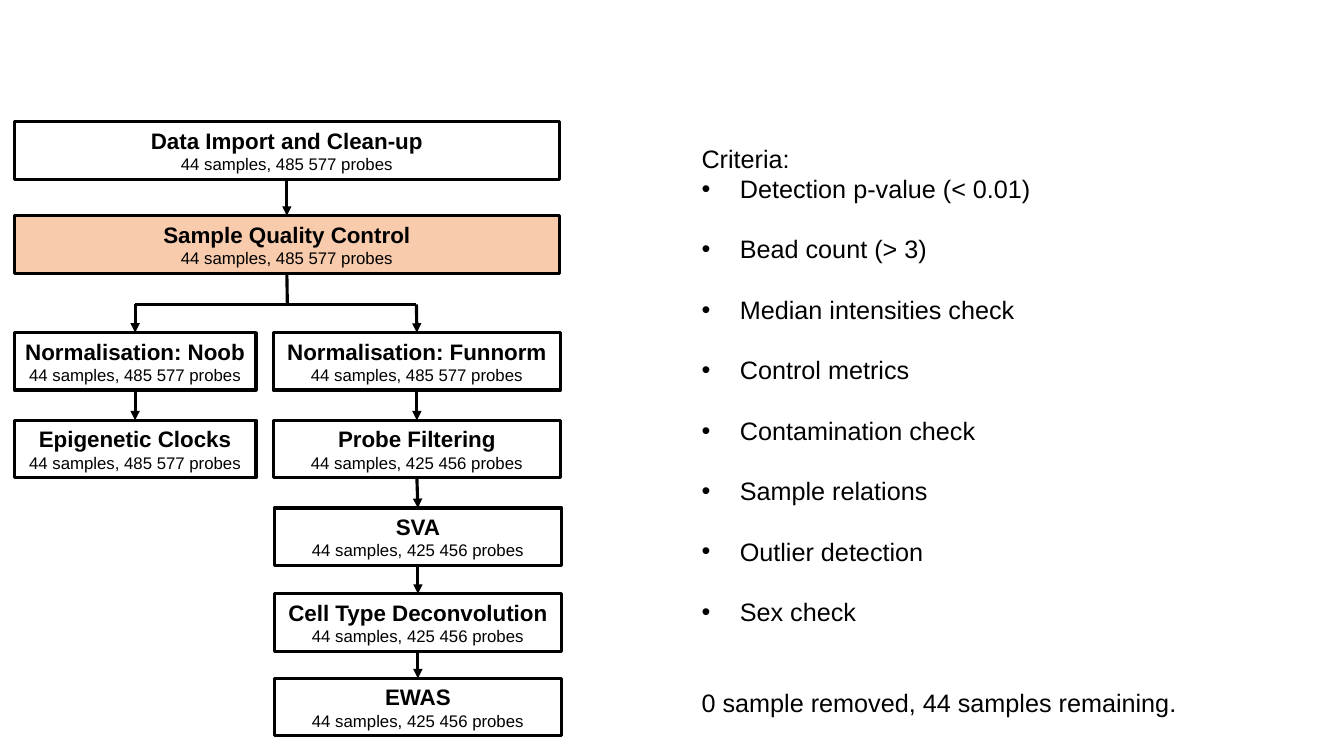
from lxml import etree
from pptx import Presentation
from pptx.dml.color import RGBColor
from pptx.enum.shapes import MSO_CONNECTOR, MSO_SHAPE
from pptx.enum.text import MSO_ANCHOR, PP_ALIGN
from pptx.oxml.ns import qn
from pptx.util import Inches, Pt

STRAIGHT = MSO_CONNECTOR.STRAIGHT
RECTANGLE = MSO_SHAPE.RECTANGLE
MIDDLE = MSO_ANCHOR.MIDDLE
CENTER = PP_ALIGN.CENTER
BLACK = "000000"
TOP, BOTTOM = 0, 2
LINE_PITCH = 21.6


def color(hex_value):
    return RGBColor.from_string(hex_value)


def add_line(x1, y1, x2, y2, arrow):
    line = slide.shapes.add_connector(
        STRAIGHT, Inches(x1), Inches(y1), Inches(x2), Inches(y2))
    line.line.color.rgb = color(BLACK)
    line.line.width = Pt(2.25)
    if arrow:
        etree.SubElement(line.line._get_or_add_ln(), qn("a:tailEnd"), type="triangle")
    etree.SubElement(line._element.spPr, qn("a:effectLst"))
    return line


deck = Presentation()
deck.slide_width, deck.slide_height = Inches(13.33), Inches(7.5)
slide = deck.slides.add_slide(deck.slide_layouts[6])

# Criteria list
criteria = ["Detection p-value (< 0.01)", "Bead count (> 3)",
            "Median intensities check", "Control metrics", "Contamination check",
            "Sample relations", "Outlier detection", "Sex check"]
summary = "0 sample removed, 44 samples remaining."
criteria_box = slide.shapes.add_textbox(
    Inches(6.86), Inches(1.37), Inches(5.74), Inches(5.86))
frame = criteria_box.text_frame
frame.word_wrap = True
frame.text = "\n".join(["Criteria:", *criteria, summary])
for number, para in enumerate(frame.paragraphs):
    para.line_spacing = Pt(LINE_PITCH)
    if para.text in criteria:
        properties = para._p.get_or_add_pPr()
        properties.set("marL", str(Inches(0.38)))
        properties.set("indent", str(Inches(-0.38)))
        if number > 1:
            para.space_before = Pt(LINE_PITCH)
        etree.SubElement(properties, qn("a:buFont"), typeface="Arial")
        etree.SubElement(properties, qn("a:buChar"), char="•")
    elif para.text == summary:
        para.space_before = Pt(2 * LINE_PITCH)
    font = para.runs[0].font
    font.name, font.size = "Arial", Pt(18)
    font.color.rgb = color(BLACK)

# Pipeline steps: title, probes, left, top, width
all_probes, kept_probes = "485 577", "425 456"
steps = [
    ("Data Import and Clean-up", all_probes, 0.14, 1.21, 5.41),
    ("Sample Quality Control", all_probes, 0.14, 2.14, 5.41),
    ("Normalisation: Noob", all_probes, 0.14, 3.3, 2.4),
    ("Normalisation: Funnorm", all_probes, 2.71, 3.3, 2.85),
    ("Epigenetic Clocks", all_probes, 0.14, 4.17, 2.4),
    ("Probe Filtering", kept_probes, 2.71, 4.17, 2.85),
    ("SVA", kept_probes, 2.72, 5.04, 2.85),
    ("Cell Type Deconvolution", kept_probes, 2.72, 5.89, 2.85),
    ("EWAS", kept_probes, 2.72, 6.73, 2.85),
]
boxes = {}
for title, probes, left, top, width in steps:
    box = slide.shapes.add_shape(
        RECTANGLE, Inches(left), Inches(top), Inches(width), Inches(0.57))
    box.shadow.inherit = False
    if title == "Sample Quality Control":
        box.fill.solid()
        box.fill.fore_color.rgb = color("F8CBAD")
    else:
        box.fill.background()
    box.line.color.rgb = color(BLACK)
    box.line.width = Pt(2.25)
    frame = box.text_frame
    frame.word_wrap = True
    frame.vertical_anchor = MIDDLE
    frame.margin_left = frame.margin_right = Inches(0.05)
    frame.text = f"{title}\n44 samples, {probes} probes"
    for para, size, bold in zip(frame.paragraphs, (16, 12), (True, False)):
        para.alignment = CENTER
        font = para.runs[0].font
        font.name, font.size, font.bold = "Arial", Pt(size), bold
        font.color.rgb = color(BLACK)
    boxes[title] = box

# Arrows between consecutive steps
for start, end in [
    ("Data Import and Clean-up", "Sample Quality Control"),
    ("Normalisation: Noob", "Epigenetic Clocks"),
    ("Normalisation: Funnorm", "Probe Filtering"),
    ("Probe Filtering", "SVA"),
    ("SVA", "Cell Type Deconvolution"),
    ("Cell Type Deconvolution", "EWAS"),
]:
    arrow = add_line(0, 0, 0, 0, True)
    arrow.begin_connect(boxes[start], BOTTOM)
    arrow.end_connect(boxes[end], TOP)

# Branch from quality control to the two normalisations
stem_x, branch_y = 2.85, 3.02
stem = add_line(stem_x, 2.71, stem_x, branch_y, False)
stem.begin_connect(boxes["Sample Quality Control"], BOTTOM)
for title, branch_x in [("Normalisation: Noob", 1.34), ("Normalisation: Funnorm", 4.13)]:
    add_line(stem_x, branch_y, branch_x, branch_y, False)
    drop = add_line(branch_x, branch_y, branch_x, 3.3, True)
    drop.end_connect(boxes[title], TOP)

deck.save("out.pptx")
